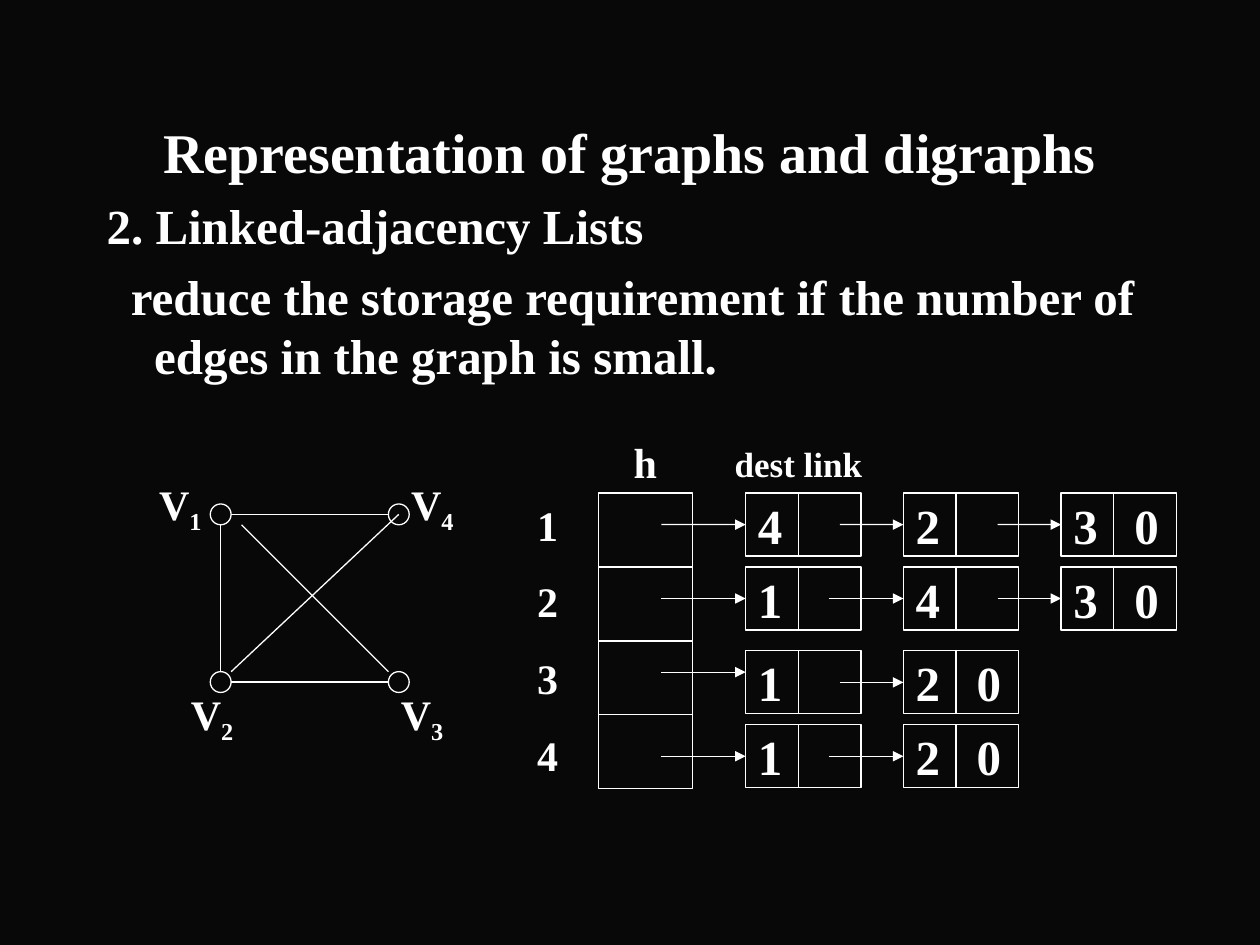
from lxml.etree import SubElement
from pptx import Presentation
from pptx.dml.color import RGBColor
from pptx.enum.shapes import MSO_CONNECTOR, MSO_SHAPE
from pptx.enum.text import MSO_ANCHOR, PP_ALIGN
from pptx.oxml.ns import qn
from pptx.util import Cm, Pt

BLACK = RGBColor(0x08, 0x08, 0x08)
WHITE = RGBColor(0xFF, 0xFF, 0xFF)


class Board:
    font = "Times New Roman"
    line_width = Pt(0.75)

    def __init__(self, deck):
        self.page = deck.slides.add_slide(deck.slide_layouts[5])
        self.page.background.fill.solid()
        self.page.background.fill.fore_color.rgb = BLACK
        self.shapes = self.page.shapes

    def start_group(self):
        """Collect the elements that follow in a new group."""
        self.shapes = self.page.shapes.add_group_shape().shapes

    def span(self, para, text, size, subscript=False):
        span = para.add_run()
        span.text = text
        span.font.name = self.font
        span.font.size = Pt(size)
        span.font.bold = True
        span.font.color.rgb = WHITE
        if subscript:
            span.font._element.set("baseline", "-25000")

    def title(self, text, left, top, width, height):
        box = self.page.shapes.title
        box.left, box.top, box.width, box.height = map(Cm, (left, top, width, height))
        box.text_frame.vertical_anchor = MSO_ANCHOR.MIDDLE
        para = box.text_frame.paragraphs[0]
        para.alignment = PP_ALIGN.CENTER
        self.span(para, text, 32)

    def text(self, lines, left, top, width, height, size=24, gap=15, align=PP_ALIGN.LEFT):
        """Add a text box; each line is a list of (text, subscript) pairs."""
        box = self.shapes.add_textbox(Cm(left), Cm(top), Cm(width), Cm(height))
        box.text_frame.word_wrap = True
        for number, line in enumerate(lines):
            para = box.text_frame.add_paragraph() if number else box.text_frame.paragraphs[0]
            para.alignment = align
            para.space_before = Pt(gap if number else 0)
            for text, subscript in line:
                self.span(para, text, size, subscript)
        return box

    def outline(self, kind, left, top, width, height):
        shape = self.shapes.add_shape(kind, Cm(left), Cm(top), Cm(width), Cm(height))
        shape.shadow.inherit = False
        shape.fill.background()
        shape.line.color.rgb = WHITE
        shape.line.width = self.line_width
        return shape

    def node(self, text, left, top, width, height, divider):
        """Draw a list node; a tab in the text leads to its link field."""
        box = self.outline(MSO_SHAPE.RECTANGLE, left, top, width, height)
        box.text_frame.word_wrap = True
        box.text_frame.vertical_anchor = MSO_ANCHOR.MIDDLE
        para = box.text_frame.paragraphs[0]
        para.alignment = PP_ALIGN.LEFT
        tabs = SubElement(para._p.get_or_add_pPr(), qn("a:tabLst"))
        SubElement(tabs, qn("a:tab"), pos=str(Cm(1.23)), algn="l")
        self.span(para, text, 28)
        self.line(left + divider, top, left + divider, top + height)
        return box

    def line(self, x1, y1, x2, y2):
        line = self.shapes.add_connector(
            MSO_CONNECTOR.STRAIGHT, Cm(x1), Cm(y1), Cm(x2), Cm(y2))
        line.line.color.rgb = WHITE
        line.line.width = self.line_width
        SubElement(line._element.spPr, qn("a:effectLst"))
        return line

    def arrow(self, x1, x2, y, target=None):
        arrow = self.line(x1, y, x2, y)
        SubElement(arrow.line._get_or_add_ln(), qn("a:tailEnd"), type="triangle")
        if target is not None:
            arrow.end_connect(target, 1)


def add_heading(board):
    board.title("Representation of graphs and digraphs", 1.9, 2.1, 21.6, 1.9)
    body = board.text(
        [[("2. Linked-adjacency Lists", False)],
         [("reduce the storage requirement if the number of edges in the graph is small.", False)]],
        1.9, 3.81, 22.65, 14.17, size=28, gap=7)
    for para, hanging in zip(body.text_frame.paragraphs, (0.96, 0.47)):
        properties = para._p.get_or_add_pPr()
        properties.set("marL", str(Cm(0.96)))
        properties.set("indent", str(-Cm(hanging)))


def add_graph(board):
    left, right, top, bottom = 4.45, 8.04, 10.37, 13.75
    radius = 0.21
    board.start_group()
    for x, y in ((left, top), (left, bottom), (right, bottom), (right, top)):
        board.outline(MSO_SHAPE.OVAL, x - radius, y - radius, 2 * radius, 2 * radius)
    for y in (top, bottom):
        board.line(left + radius, y, right - radius, y)
    board.line(left, top + radius, left, bottom - radius)
    board.line(right, top, left + radius, bottom - radius)
    board.line(left + 2 * radius, top + radius, right - radius, bottom - radius)
    for number, x, y in (("1", 2.96, 9.52), ("3", 7.83, 13.75),
                         ("2", 3.6, 13.75), ("4", 8.04, 9.52)):
        board.text([[("V", False), (number, True)]], x, y, 1.48, 1.42)


def add_lists(board):
    array_left, array_top, cell_width, cell_height = 12.06, 9.94, 1.9, 1.49
    node_left, node_step, node_width, node_height = 15.03, 3.18, 2.33, 1.27
    divider = 1.06
    rows = (
        (9.94, 1.9, ("4", "2", "3\t0")),
        (11.43, 1.68, ("1", "4", "3\t0")),
        (13.12, 1.9, ("1", "2\t0")),
        (14.61, 1.68, ("1", "2\t0")),
    )
    board.start_group()
    for index, (top, first_link, texts) in enumerate(rows):
        board.outline(MSO_SHAPE.RECTANGLE, array_left, array_top + index * cell_height,
                      cell_width, cell_height)
        middle = top + node_height / 2
        for column, text in enumerate(texts):
            x = node_left + column * node_step
            box = board.node(text, x, top, node_width, node_height, divider)
            if column:
                link = first_link if column == 1 else 1.9
                board.arrow(x - node_step + link, x, middle, box)
            elif index == 2:
                board.arrow(13.33, x, 13.55)
            else:
                board.arrow(13.33, x, middle, box)
    board.text([[(number, False)] for number in "1234"], 10.58, 9.94, 1.27, 5.93)
    board.text([[("h", False)]], array_left, 8.67, cell_width, 1.27, align=PP_ALIGN.CENTER)
    board.text([[("dest link", False)]], 14.56, 8.8, 3.86, 1.14, size=20)


def main():
    deck = Presentation()
    deck.slide_width, deck.slide_height = Cm(25.4), Cm(19.05)
    board = Board(deck)
    add_heading(board)
    add_graph(board)
    add_lists(board)
    deck.save("out.pptx")


if __name__ == "__main__":
    main()
